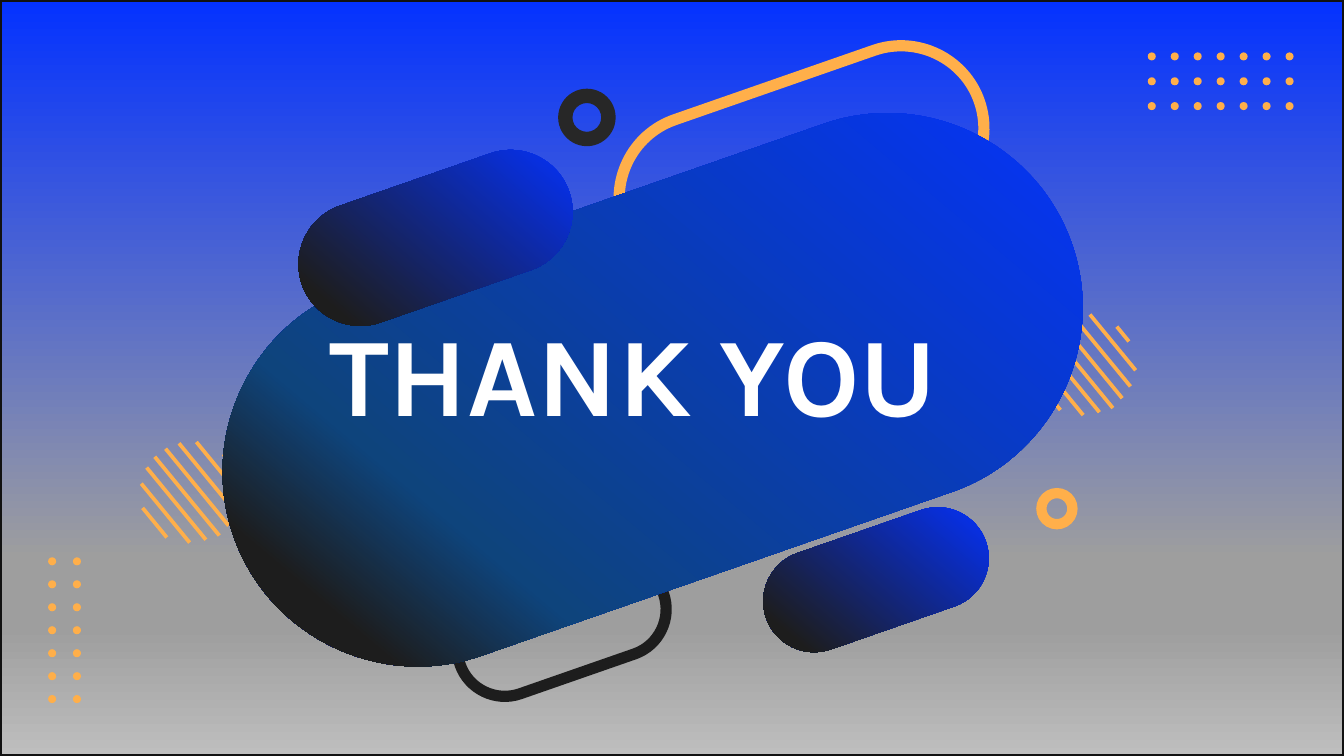
from math import cos, radians, sin

from lxml import etree
from pptx import Presentation
from pptx.dml.color import RGBColor
from pptx.enum.shapes import MSO_CONNECTOR, MSO_SHAPE
from pptx.enum.text import MSO_ANCHOR, MSO_AUTO_SIZE, PP_ALIGN
from pptx.oxml.ns import qn
from pptx.util import Pt

RECTANGLE, OVAL, DONUT = MSO_SHAPE.RECTANGLE, MSO_SHAPE.OVAL, MSO_SHAPE.DONUT
STRAIGHT = MSO_CONNECTOR.STRAIGHT
LEFT, MIDDLE, NO_FIT = PP_ALIGN.LEFT, MSO_ANCHOR.MIDDLE, MSO_AUTO_SIZE.NONE

COLORS = {
    "blue": "0432FF",
    "teal": "0E447C",
    "gray": "9E9E9E",
    "silver": "BEBEBE",
    "black": "1D1D1D",
    "charcoal": "272727",
    "border": "111111",
    "orange": "FFAF4A",
    "white": "FFFFFF",
}
RGB = {name: RGBColor.from_string(value) for name, value in COLORS.items()}
TILT = radians(19.2)
ARC_HANDLE = 0.55
PILL_STOPS = [(0, "blue"), (86, "black")]
BLOB_STOPS = [(0, "blue"), (72, "teal"), (72, "teal"), (86, "black")]
SKY_STOPS = [(0, "blue"), (74, "gray"), (83, "gray"), (100, "silver")]


def fill_gradient(shape, stops, angle):
    shape.fill.gradient()
    shape.fill.gradient_angle = 360 - angle
    stop_list = shape.element.spPr.find(qn("a:gradFill")).find(qn("a:gsLst"))
    for old_stop in list(stop_list):
        stop_list.remove(old_stop)
    for percent, name in stops:
        stop = etree.SubElement(stop_list, qn("a:gs"), pos=str(percent * 1000))
        etree.SubElement(stop, qn("a:srgbClr"), val=COLORS[name])


def add_pill(shapes, left_x, left_y, length, radius):
    handle = radius * ARC_HANDLE
    lower_half = [
        (length + radius, handle), (length + handle, radius), (length, radius),
        (0, radius), (0, radius), (0, radius),
        (-handle, radius), (-radius, handle), (-radius, 0),
    ]
    upper_half = [(length - along, -across) for along, across in lower_half]
    points = [
        (
            Pt(left_x + along * cos(TILT) + across * sin(TILT)),
            Pt(left_y - along * sin(TILT) + across * cos(TILT)),
        )
        for along, across in [(length + radius, 0)] + lower_half + upper_half
    ]
    builder = shapes.build_freeform(*points[0])
    builder.add_line_segments(points[1:], close=True)
    pill = builder.convert_to_shape()
    segments = list(pill.element.iter(qn("a:lnTo")))
    for index in range(0, len(segments), 3):
        curve = etree.Element(qn("a:cubicBezTo"))
        segments[index].addprevious(curve)
        for segment in segments[index:index + 3]:
            curve.append(segment[0])
            segment.getparent().remove(segment)
    pill.shadow.inherit = False
    pill.fill.background()
    pill.line.fill.background()
    return pill


deck = Presentation()
deck.slide_width, deck.slide_height = Pt(720), Pt(405)
page = deck.slides.add_slide(deck.slide_layouts[5])
shapes = page.shapes
title = shapes.title

backdrop = shapes.add_shape(RECTANGLE, 0, 0, Pt(720), Pt(405))
backdrop.shadow.inherit = False
fill_gradient(backdrop, SKY_STOPS, 90)
backdrop.line.color.rgb = RGB["border"]
backdrop.line.width = Pt(2)

hatch_strokes = [
    (0.7, 35.3, 13), (0, 22.3, 25.9), (2.9, 13.7, 31.7), (7.2, 7.9, 34.6),
    (13, 3.6, 33.8), (20.2, 0.7, 31), (29.5, 0, 24.5), (43.9, 6.5, 6.5),
]
for left, top in ((554.4, 168.5), (75.7, 236.8)):
    for x, y, run in hatch_strokes:
        stroke = shapes.add_connector(
            STRAIGHT, Pt(left + x), Pt(top + y),
            Pt(left + x + run), Pt(top + y + run * 1.22),
        )
        stroke.line.color.rgb = RGB["orange"]
        stroke.line.width = Pt(2)
        etree.SubElement(stroke.element.spPr, qn("a:effectLst"))

for x, y, length, radius, color in (
    (376, 106, 113.1, 44.3, "orange"),
    (270.4, 347.8, 64.8, 25.3, "black"),
):
    outline = add_pill(shapes, x, y, length, radius)
    outline.line.color.rgb = RGB[color]
    outline.line.width = Pt(6)

for x, y, length, radius, stops in (
    (223.6, 252.7, 266.9, 104.4, BLOB_STOPS),
    (436.2, 322.1, 70.1, 27.3, PILL_STOPS),
    (193, 141.5, 85.4, 33.1, PILL_STOPS),
):
    fill_gradient(add_pill(shapes, x, y, length, radius), stops, 130)

backdrop.element.getparent().append(title.element)
title.left, title.top, title.width, title.height = Pt(176.4), Pt(176), Pt(378), Pt(46.8)
frame = title.text_frame
frame.text = "THANK YOU"
frame.word_wrap = False
frame.auto_size = NO_FIT
frame.vertical_anchor = MIDDLE
frame.margin_left = frame.margin_right = frame.margin_top = frame.margin_bottom = 0
para = frame.paragraphs[0]
para.alignment = LEFT
span = para.runs[0]
span.font.name = "Karla"
span.font.size = Pt(60)
span.font.bold = True
span.font.color.rgb = RGB["white"]

rounds = [
    (DONUT, 299, 47.5, 30.8, "charcoal"),
    (DONUT, 555.1, 261.4, 22.2, "orange"),
]
for left, top, columns, rows, column_gap, row_gap in (
    (614.9, 28.1, 7, 3, 12.3, 13.3),
    (25.8, 298.6, 2, 7, 13.3, 12.3),
):
    for column in range(columns):
        for row in range(rows):
            x, y = left + column * column_gap, top + row * row_gap
            rounds.append((OVAL, x, y, 4.3, "orange"))
for kind, x, y, size, color in rounds:
    mark = shapes.add_shape(kind, Pt(x), Pt(y), Pt(size), Pt(size))
    mark.shadow.inherit = False
    mark.fill.solid()
    mark.fill.fore_color.rgb = RGB[color]
    mark.line.fill.background()

deck.save("out.pptx")
